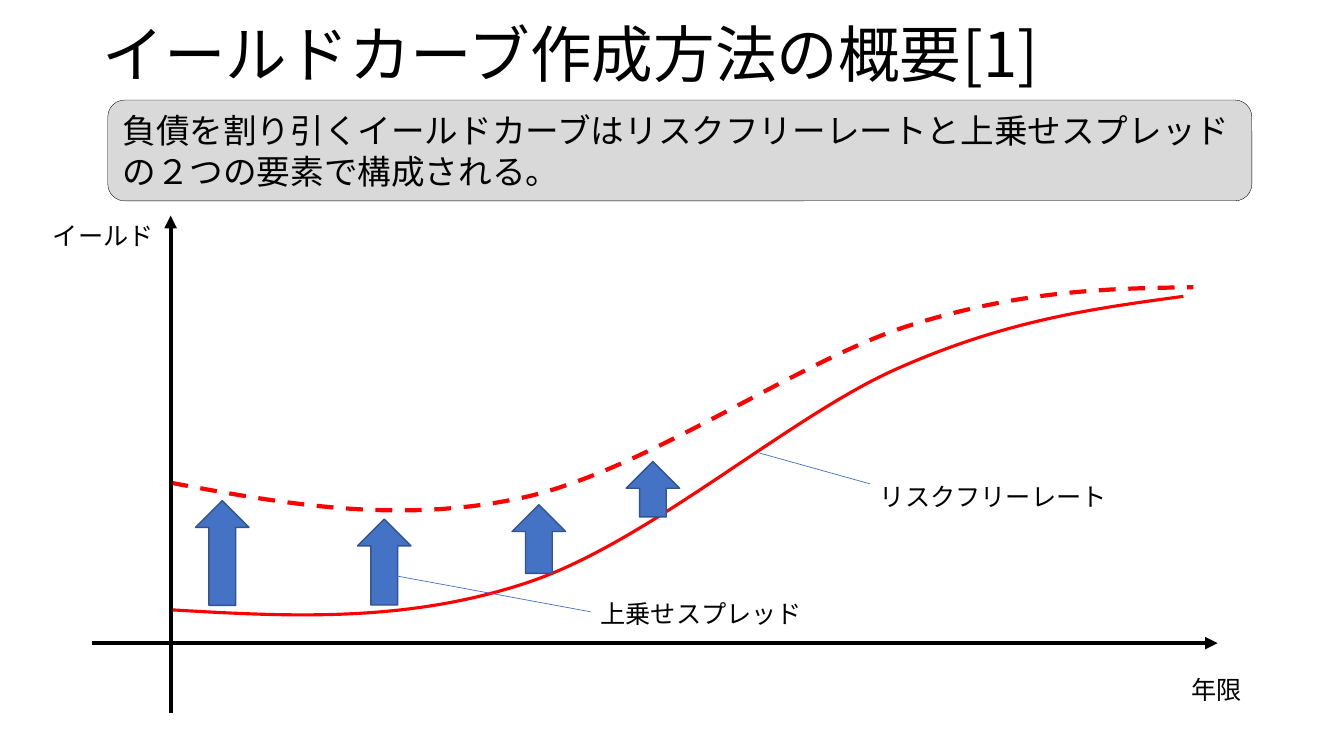
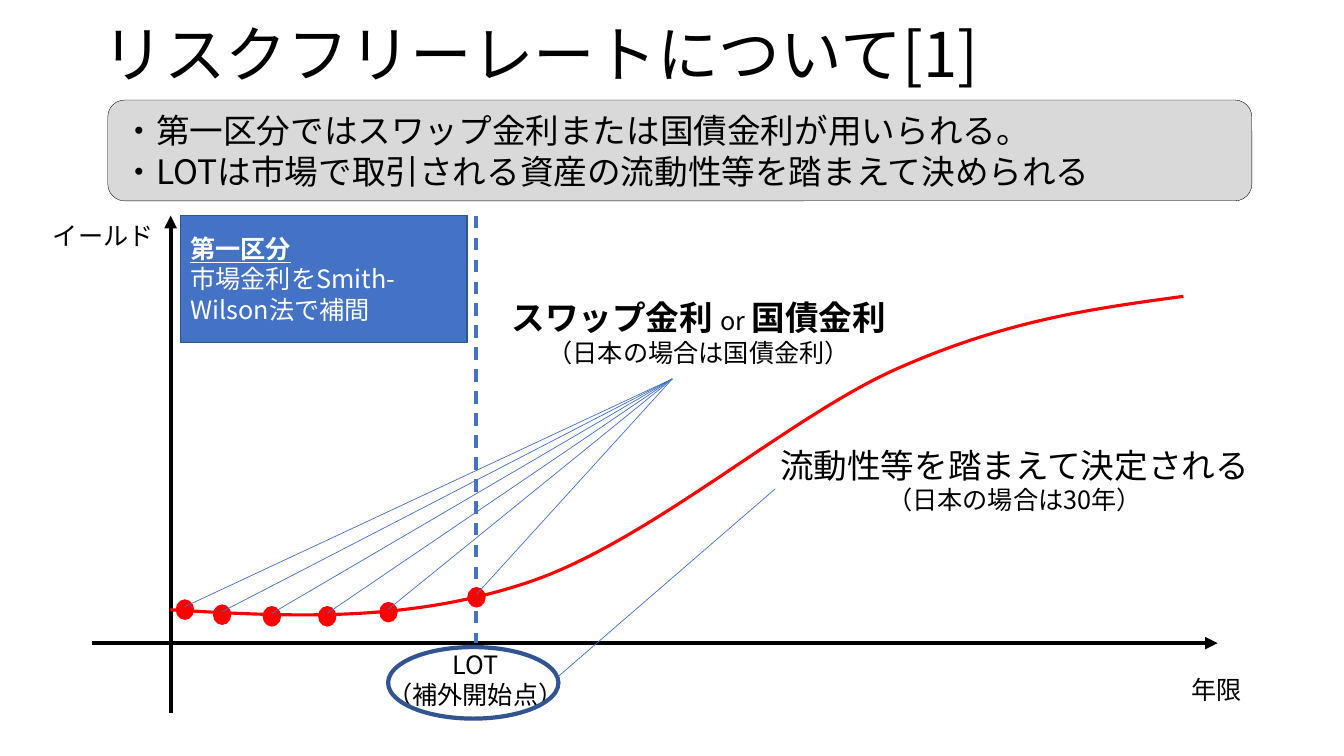
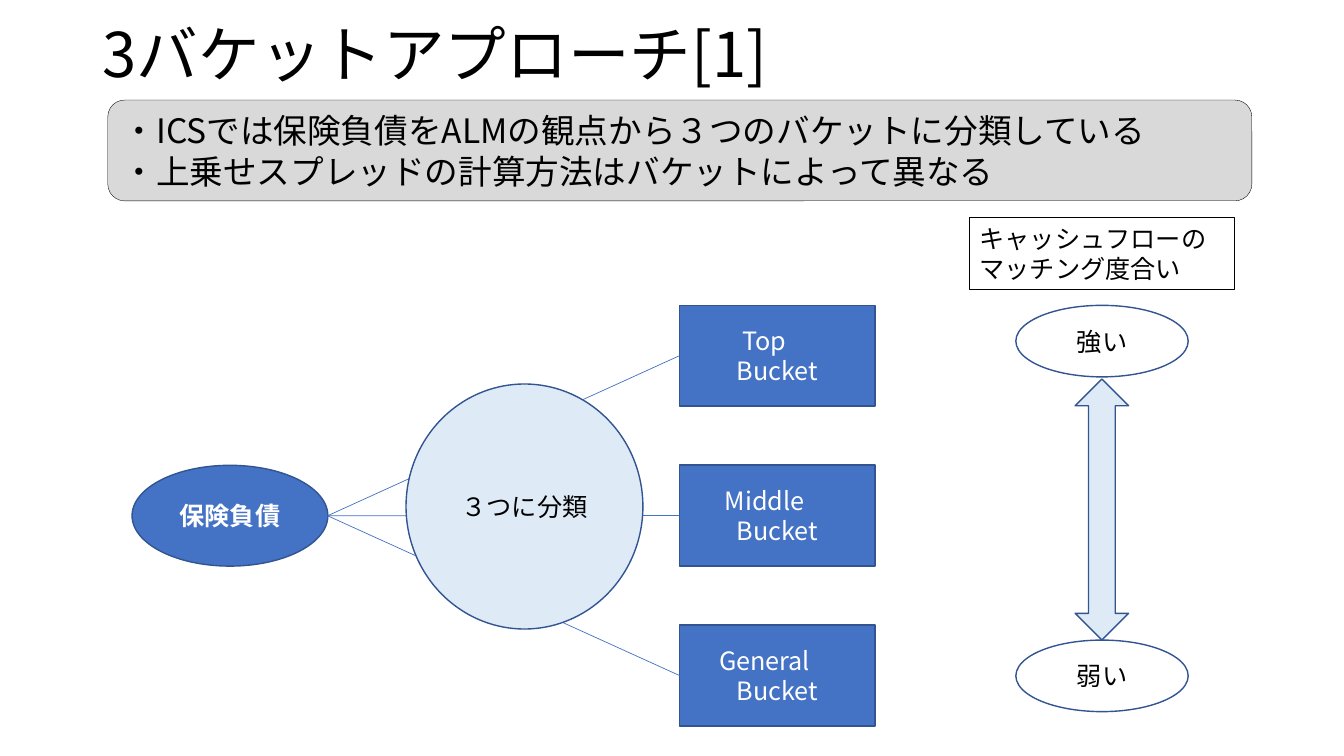
from lxml.etree import SubElement
from pptx import Presentation
from pptx.dml.color import RGBColor
from pptx.enum.dml import MSO_LINE
from pptx.enum.lang import MSO_LANGUAGE_ID
from pptx.enum.shapes import MSO_CONNECTOR, MSO_SHAPE
from pptx.enum.text import MSO_ANCHOR, MSO_AUTO_SIZE, PP_ALIGN
from pptx.oxml.ns import qn
from pptx.util import Pt

FONT = "Noto Sans CJK JP"
BLACK = RGBColor(0x00, 0x00, 0x00)
WHITE = RGBColor(0xFF, 0xFF, 0xFF)
GREY = RGBColor(0xD9, 0xD9, 0xD9)
BLUE = RGBColor(0x44, 0x72, 0xC4)
NAVY = RGBColor(0x32, 0x54, 0x91)
PALE = RGBColor(0xDE, 0xEB, 0xF7)
RED = RGBColor(0xFF, 0x00, 0x00)

ORIGIN_X, AXIS_Y, AXIS_TOP = 121.9, 459.4, 154.08
RATE_CURVE = [
    (121.7, 435.6), (205.9, 440.6), (290.2, 445), (376.6, 416.2), (463.7, 387.4),
    (564.5, 296.6), (642.2, 262.8), (720.7, 228.2), (782.6, 220.3), (845.3, 211.7),
]
SPREAD_CURVE = [
    (122.4, 344.9), (203, 360), (284.4, 374.4), (372.2, 355.7), (460.1, 337),
    (569.5, 257.8), (649.4, 232.6), (729.4, 207.4), (791.3, 205.9), (852.5, 205.2),
]


def write(para, text, size=18, color=BLACK, bold=False, underline=False):
    """Add formatted text to a paragraph, with a line break at each newline."""
    for index, piece in enumerate(text.split("\n")):
        if index:
            para.add_line_break()
        if not piece:
            continue
        span = para.add_run()
        span.text = piece
        font = span.font
        font.name, font.size, font.bold, font.underline = FONT, Pt(size), bold, underline
        font.color.rgb = color
        font.language_id = MSO_LANGUAGE_ID.JAPANESE
        SubElement(font._element, qn("a:ea"), typeface=FONT)


def write_lines(frame, lines, align=PP_ALIGN.LEFT, **style):
    """Write each line as a paragraph; a line is text or (text, format) spans."""
    for index, line in enumerate(lines):
        para = frame.paragraphs[0] if index == 0 else frame.add_paragraph()
        para.alignment = align
        for text, extra in [(line, {})] if isinstance(line, str) else line:
            write(para, text, **{**style, **extra})


def bend(outline):
    """Turn each three straight segments of an outline into one cubic curve."""
    segments = outline.findall(qn("a:lnTo"))
    for first in range(0, len(segments), 3):
        cubic = SubElement(outline, qn("a:cubicBezTo"))
        for segment in segments[first:first + 3]:
            cubic.append(segment[0])
            outline.remove(segment)


class Board:
    """Holds the deck style and the current page."""

    def __init__(self):
        """Set up the deck and the shared title place."""
        self.deck = Presentation()
        self.deck.slide_width, self.deck.slide_height = Pt(960), Pt(540)
        self.layout = self.deck.slide_layouts[5]
        title = self.layout.placeholders[0]
        title.left, title.top, title.width, title.height = map(Pt, (66.2, 10.8, 828, 60.5))

    def page(self, title, messages):
        """Start a page with its title and grey message band."""
        page = self.deck.slides.add_slide(self.layout)
        self.shapes = page.shapes
        frame = page.shapes.title.text_frame
        frame.auto_size = MSO_AUTO_SIZE.NONE
        frame.vertical_anchor = MSO_ANCHOR.MIDDLE
        write_lines(frame, [title], size=44)
        frame.paragraphs[0].line_spacing = 0.9
        self.box(MSO_SHAPE.ROUNDED_RECTANGLE, 77, 71.5, 817.2, 72, messages,
                 fill=GREY, line=BLACK, weight=0.25, align=PP_ALIGN.LEFT, size=24)

    def box(self, kind, left, top, width, height, lines=(), fill=None, line=NAVY,
            weight=1, align=PP_ALIGN.CENTER, **style):
        """Add a preset shape with optional text."""
        box = self.shapes.add_shape(kind, *map(Pt, (left, top, width, height)))
        box.shadow.inherit = False
        if fill is None:
            box.fill.background()
        else:
            box.fill.solid()
            box.fill.fore_color.rgb = fill
        box.line.color.rgb = line
        box.line.width = Pt(weight)
        box.text_frame.vertical_anchor = MSO_ANCHOR.MIDDLE
        write_lines(box.text_frame, lines, align, **style)

    def label(self, left, top, width, height, lines, wrap=False, **style):
        """Add a text box that grows with its text."""
        box = self.shapes.add_textbox(*map(Pt, (left, top, width, height)))
        box.text_frame.word_wrap = wrap
        box.text_frame.auto_size = MSO_AUTO_SIZE.SHAPE_TO_FIT_TEXT
        write_lines(box.text_frame, lines, **style)

    def line(self, start, end, color=BLUE, weight=0.5, dashed=False, arrow=False):
        """Add a straight line from start to end."""
        line = self.shapes.add_connector(MSO_CONNECTOR.STRAIGHT, *map(Pt, start + end))
        line.line.color.rgb = color
        line.line.width = Pt(weight)
        if dashed:
            line.line.dash_style = MSO_LINE.DASH
        properties = line.element.spPr
        if arrow:
            SubElement(properties.find(qn("a:ln")), qn("a:tailEnd"), type="triangle")
        SubElement(properties, qn("a:effectLst"))

    def curve(self, controls, weight=2.25, dashed=False):
        """Add an open red curve through a chain of cubic control points."""
        points = [(Pt(x), Pt(y)) for x, y in controls]
        builder = self.shapes.build_freeform(*points[0])
        builder.add_line_segments(points[1:], close=False)
        curve = builder.convert_to_shape()
        bend(next(curve.element.iter(qn("a:path"))))
        curve.shadow.inherit = False
        curve.fill.background()
        curve.line.color.rgb = RED
        curve.line.width = Pt(weight)
        if dashed:
            curve.line.dash_style = MSO_LINE.DASH

    def axes(self):
        """Add the yield and term axes with their names."""
        self.line((66, AXIS_Y), (869.8, AXIS_Y), BLACK, 3, arrow=True)
        self.line((ORIGIN_X, 509.5), (ORIGIN_X, AXIS_TOP), BLACK, 3, arrow=True)
        self.label(843.8, 477.8, 51.1, 28.8, ["年限"])
        self.label(30.7, AXIS_TOP, 87.1, 28.8, ["イールド"])


def add_overview(board):
    """Build the yield curve overview."""
    board.page("イールドカーブ作成方法の概要[1]",
               ["負債を割り引くイールドカーブはリスクフリーレートと上乗せスプレッドの２つの要素で構成される。"])
    board.curve(RATE_CURVE)
    board.curve(SPREAD_CURVE, 3, dashed=True)
    board.line((541.4, 323.3), (621.4, 345.6))
    board.label(621.4, 340.1, 177.8, 28.8, ["リスクフリーレート"])
    for left, top, height in ((139.7, 357.6, 74.9), (255.4, 370.8, 61.4),
                              (365.8, 360.5, 49), (447.3, 329.6, 39.6)):
        board.box(MSO_SHAPE.UP_ARROW, left, top, 38.2, height, fill=BLUE)
    board.line((277.9, 410.4), (421.9, 437))
    board.label(421.9, 424.1, 159.8, 28.8, ["上乗せスプレッド"])
    board.axes()


def add_risk_free_rate(board):
    """Build the risk-free rate page."""
    board.page("リスクフリーレートについて[1]",
               ["・第一区分ではスワップ金利または国債金利が用いられる。",
                "・LOTは市場で取引される資産の流動性等を踏まえて決められる"])
    board.axes()
    board.curve(RATE_CURVE)
    board.line((340, AXIS_TOP), (340, AXIS_Y), weight=2.25, dashed=True)
    board.box(MSO_SHAPE.RECTANGLE, 128.9, 153.9, 204.7, 90.7,
              [[("第一区分", {"bold": True, "underline": True})],
               "市場金利をSmith-Wilson法で補間"],
              fill=BLUE, align=PP_ALIGN.LEFT, color=WHITE)
    dots = ((126, 428.6), (152.6, 432.2), (188.1, 433.4),
            (227.7, 433.4), (271.4, 430.4), (334.3, 419.8))
    for left, top in dots:
        board.box(MSO_SHAPE.OVAL, left, top, 12.2, 13.7, fill=RED, line=RED)
    board.label(267.8, 460.1, 143.3, 51.1, ["LOT", "（補外開始点）"],
                wrap=True, align=PP_ALIGN.CENTER)
    for left, top in dots:
        board.line((480.2, 270.7), (left + 6.1, top + 4.7))
    large = {"size": 24, "bold": True}
    board.label(356.2, 208.8, 285.8, 58.3,
                [[("スワップ金利 ", large), ("or ", {}), ("国債金利\n", large),
                  ("（日本の場合は国債金利）", {})]], wrap=True, align=PP_ALIGN.CENTER)
    board.box(MSO_SHAPE.OVAL, 277.2, 462.2, 121.7, 51.1, weight=3)
    board.line((553.7, 349.2), (398.9, 483.1))
    board.label(541.7, 313.9, 365.8, 58.3,
                [[("流動性等を踏まえて決定される\n", {"size": 24}), ("（日本の場合は30年）", {})]],
                wrap=True, align=PP_ALIGN.CENTER)


def add_buckets(board):
    """Build the three-bucket page."""
    board.page("3バケットアプローチ[1]",
               ["・ICSでは保険負債をALMの観点から３つのバケットに分類している",
                "・上乗せスプレッドの計算方法はバケットによって異なる"])
    board.box(MSO_SHAPE.OVAL, 94.3, 332.4, 139.9, 72, ["保険負債"],
              fill=BLUE, color=WHITE, bold=True)
    buckets = (["Top　", "Bucket"], ["Middle　Bucket"], ["General　Bucket"])
    for index, lines in enumerate(buckets):
        top = 218.1 + index * 114.2
        board.box(MSO_SHAPE.RECTANGLE, 485.3, top, 139.7, 72, lines, fill=BLUE, color=WHITE)
    for index in range(len(buckets)):
        board.line((234, 368.4), (485.3, 254.1 + index * 114.2))
    board.box(MSO_SHAPE.OVAL, 290, 274.3, 169.2, 175, ["３つに分類"], fill=PALE)
    board.box(MSO_SHAPE.RECTANGLE, 692.6, 155.3, 189.2, 51.1,
              ["キャッシュフローの", "マッチング度合い"],
              line=BLACK, weight=0.25, align=PP_ALIGN.LEFT)
    for top, text in ((218.1, "強い"), (457.2, "弱い")):
        board.box(MSO_SHAPE.OVAL, 725.6, top, 123.1, 51.1, [text])
    board.box(MSO_SHAPE.UP_DOWN_ARROW, 768, 270.7, 38.2, 186.5, fill=PALE)


def main():
    """Build and save the deck."""
    board = Board()
    add_overview(board)
    add_risk_free_rate(board)
    add_buckets(board)
    board.deck.save("out.pptx")


if __name__ == "__main__":
    main()
